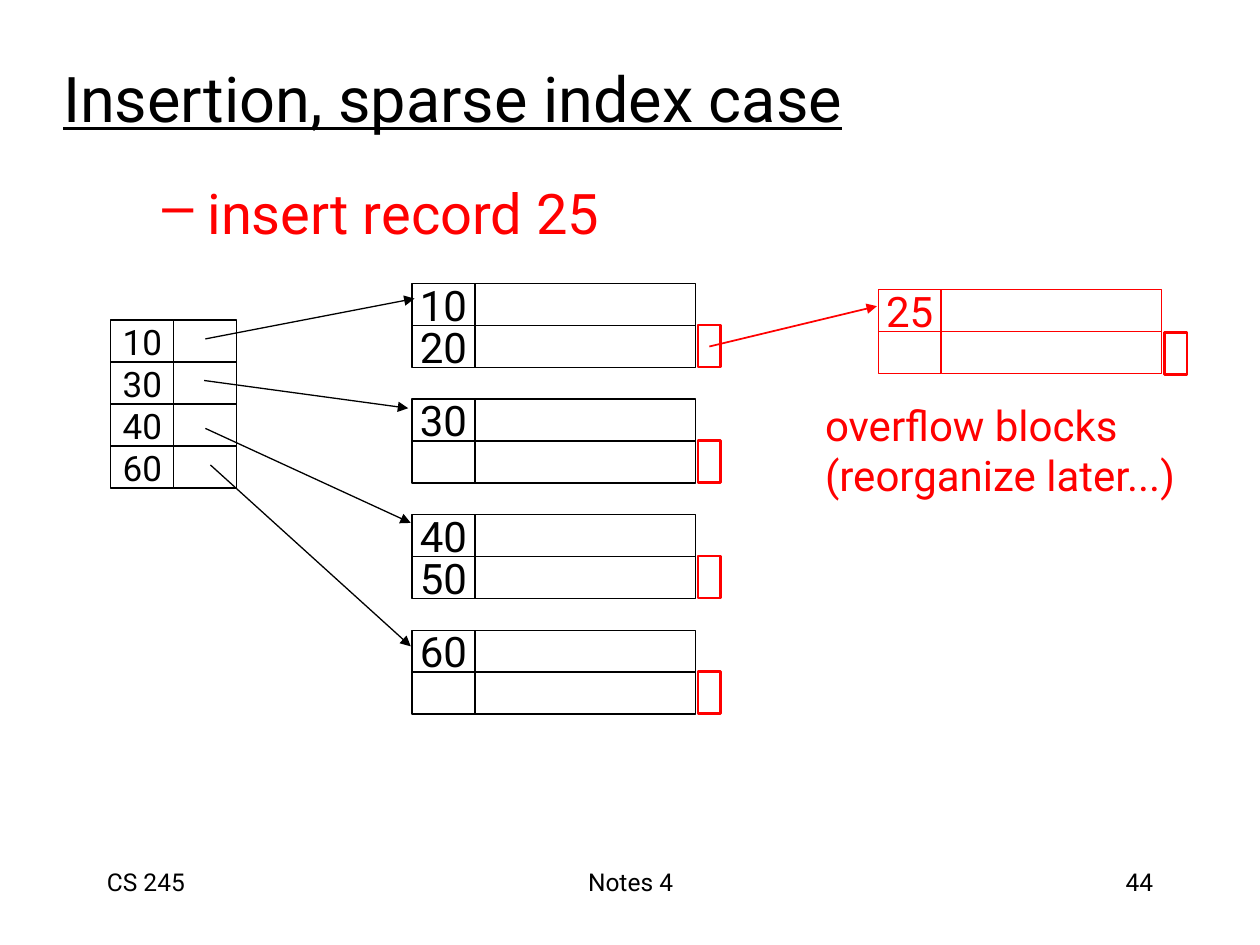
from pptx import Presentation
from pptx.dml.color import RGBColor
from pptx.enum.shapes import MSO_CONNECTOR, MSO_SHAPE
from pptx.enum.text import MSO_ANCHOR, MSO_AUTO_SIZE, PP_ALIGN
from pptx.oxml.ns import qn
from pptx.util import Inches, Pt
from lxml import etree

BLACK = RGBColor(0, 0, 0)
WHITE = RGBColor(255, 255, 255)
RED = RGBColor(255, 0, 0)
LEFT, MID, RIGHT = PP_ALIGN.LEFT, PP_ALIGN.CENTER, PP_ALIGN.RIGHT
TOP, CENTER = MSO_ANCHOR.TOP, MSO_ANCHOR.MIDDLE
FIT = MSO_AUTO_SIZE.SHAPE_TO_FIT_TEXT
RECT = MSO_SHAPE.RECTANGLE
STRAIGHT = MSO_CONNECTOR.STRAIGHT

COLS, ROWS = 100, 75
KEY, DATA, TAB = 5, 17.5, 1.8
ROW = 10 / 3
PITCH = 9.17


class Deck:
    font = "Roboto"

    def __init__(self):
        self.prs = Presentation()
        self.prs.slide_width = Inches(10)
        self.prs.slide_height = Inches(7.5)
        self.slide = self.prs.slides.add_slide(self.prs.slide_layouts[5])
        self.shapes = self.slide.shapes

    def grid(self, x, y):
        return (round(x * self.prs.slide_width / COLS),
                round(y * self.prs.slide_height / ROWS))

    def fill(self, frame, text, size, color=BLACK, align=LEFT, anchor=CENTER):
        frame.text = text
        frame.vertical_anchor = anchor
        for par in frame.paragraphs:
            par.alignment = align
            par.font.name = self.font
            par.font.size = Pt(size)
            par.font.color.rgb = color

    def title(self, text, x, y, w, h):
        shape = self.shapes.title
        shape.left, shape.top = self.grid(x, y)
        shape.width, shape.height = self.grid(w, h)
        self.fill(shape.text_frame, text, 36)
        shape.text_frame.paragraphs[0].font.underline = True

    def text(self, text, x, y, w, h, size, **look):
        frame = self.shapes.add_textbox(*self.grid(x, y), *self.grid(w, h)).text_frame
        frame.word_wrap = True
        self.fill(frame, text, size, **look)
        return frame

    def note(self, text, x, y, w, h, size, **look):
        frame = self.text(text, x, y, w, h, size, color=RED, **look)
        frame.word_wrap = False
        frame.auto_size = FIT
        return frame

    def bullet(self, text, x, y, w, h):
        par = self.note(text, x, y, w, h, 32, align=MID).paragraphs[0]
        par.level = 1
        props = par._p.get_or_add_pPr()
        props.set("marL", str(Inches(0.5)))
        props.set("indent", "0")
        mark = etree.Element(qn("a:buChar"), char="–")
        tint = etree.Element(qn("a:buClr"))
        etree.SubElement(tint, qn("a:srgbClr"), val=str(RED))
        props.insert(0, tint)
        props.insert(1, mark)

    def box(self, x, y, w, text="", size=24, color=BLACK, line=0.75):
        shape = self.shapes.add_shape(RECT, *self.grid(x, y), *self.grid(w, ROW))
        shape.shadow.inherit = False
        shape.fill.solid()
        shape.fill.fore_color.rgb = WHITE
        shape.line.color.rgb = color
        shape.line.width = Pt(line)
        if text:
            self.fill(shape.text_frame, text, size, color, MID)
            shape.text_frame.word_wrap = False

    def block(self, x, y, keys, width=DATA, size=24, color=BLACK):
        for i, key in enumerate(keys):
            top = y + i * ROW
            self.box(x, top, KEY, key, size, color)
            self.box(x + KEY, top, width, color=color)

    def arrow(self, start, end, color=BLACK, width=0.75):
        link = self.shapes.add_connector(STRAIGHT, *self.grid(*start), *self.grid(*end))
        link.line.color.rgb = color
        link.line.width = Pt(width)
        etree.SubElement(link.line._get_or_add_ln(), qn("a:tailEnd"), type="triangle")
        etree.SubElement(link._element.spPr, qn("a:effectLst"))


def main():
    deck = Deck()
    deck.title("Insertion, sparse index case", 4, 3.1, 85, 9.2)
    for text, x, w, align in (("CS 245", 7.5, 20.8, LEFT),
                              ("Notes 4", 34.2, 31.7, MID),
                              ("44", 71.7, 20.8, RIGHT)):
        deck.text(text, x, 68.3, w, 5, 14, align=align, anchor=TOP)

    pages = (("10", "20"), ("30", ""), ("40", "50"), ("60", ""))
    for i, keys in enumerate(pages):
        deck.block(32.7, 22.5 + i * PITCH, keys)
    deck.block(8.8, 25.4, ("10", "30", "40", "60"), width=KEY, size=20)
    for start, end in (((16.3, 26.9), (32.9, 23.7)),
                       ((16.2, 30.2), (32.4, 32.4)),
                       ((16.3, 34), (32.6, 41.5)),
                       ((16.7, 36.9), (32.6, 51.3))):
        deck.arrow(start, end)

    deck.bullet(" insert record 25", 6, 13.6, 43.5, 6.4)
    for i in range(len(pages)):
        deck.box(55.4, 25.8 + i * PITCH, TAB, color=RED, line=1.5)
    deck.box(92.4, 26.4, TAB, color=RED, line=1.5)
    deck.arrow((56.3, 27.5), (69.6, 24.3), RED, 1)
    deck.block(69.7, 23, ("25", ""), color=RED)
    deck.note("overflow blocks\n(reorganize later...)", 64.5, 31.2, 31.6, 9, 24)
    deck.prs.save("out.pptx")


if __name__ == "__main__":
    main()
